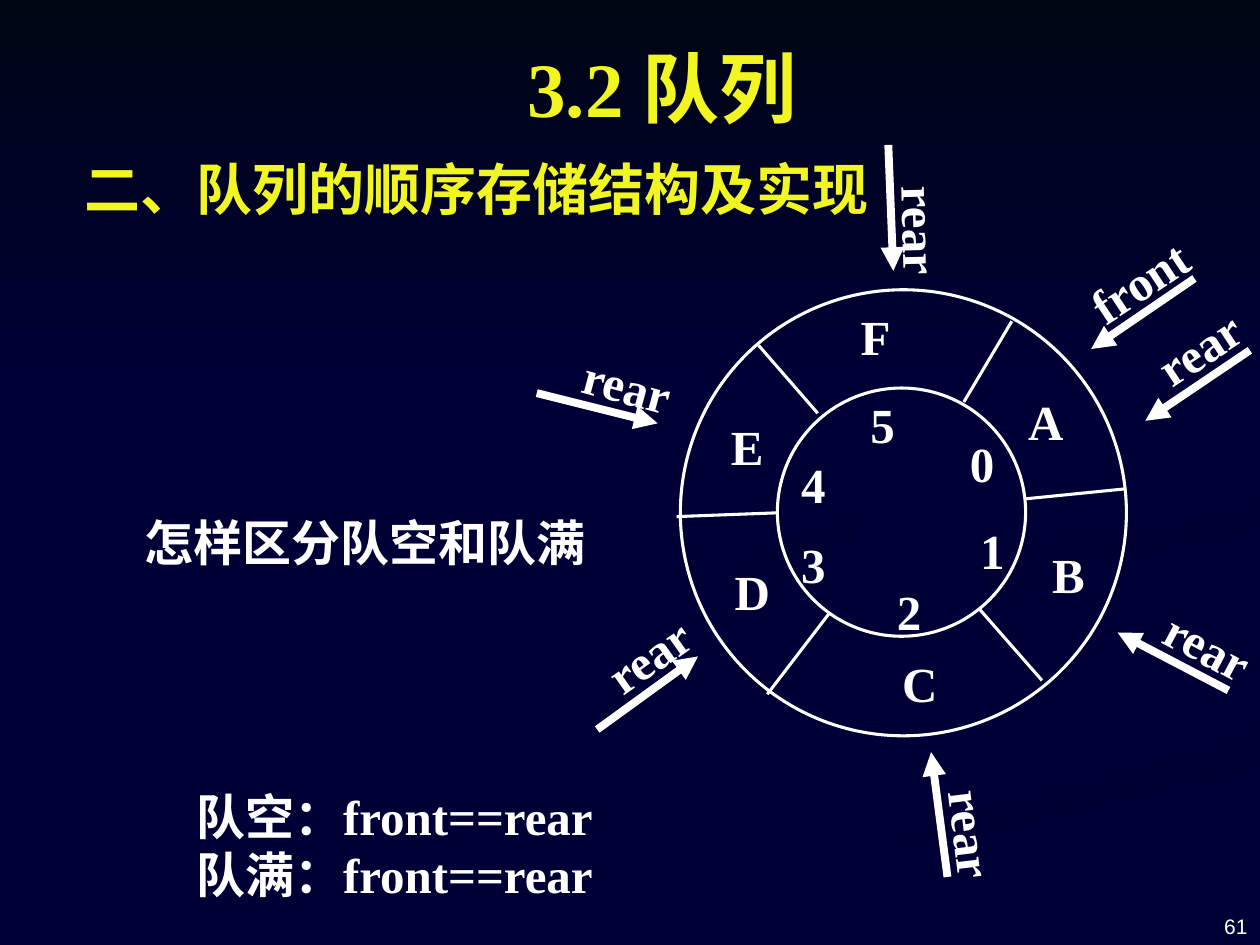
import pptx
import pptx.dml.color
import pptx.enum.shapes
import pptx.enum.text
import pptx.oxml.ns
import pptx.util
from lxml import etree

# The slide is a grid of 100 columns by 75 rows of square cells
CELL = pptx.util.Inches(0.1)
COLUMNS, ROWS = 100, 75
WHITE, YELLOW, NAVY = "FFFFFF", "F1F622", "000036"
SERIF, CJK, SANS = "Times New Roman", "Noto Sans CJK SC", "Arial"
LABEL_HEIGHT = 5.7

ALIGN = pptx.enum.text.PP_ALIGN
ANCHOR = pptx.enum.text.MSO_ANCHOR

# Background ribbons: start colour, end colour, angle, outline
RIBBONS = [
    ("000036", "000034", 0, [
        (78.1, 55.3), (73.1, 53.3), (64.2, 50.7), (59.4, 48.5), (57.4, 46.4),
        (57.5, 45.9), (57, 47.2), (58.6, 48.7), (63.1, 50.5), (71.4, 53),
        (77.6, 55.3), (78.6, 56.6), (77.4, 58.3), (71.4, 60.5), (61.6, 62.9),
        (49.9, 66.1), (37.6, 70.7), (30, 74.9), (36.1, 74.9), (46.6, 70),
        (56.4, 66.5), (67.6, 63.4), (76.9, 60.9), (79.5, 59.2), (80, 58.1),
        (79.2, 56.1)]),
    ("000036", "000034", 315, [
        (94.3, 57), (93, 55.3), (88.8, 53.5), (81.1, 51.5), (75.8, 49.8),
        (73, 47.9), (72.4, 46.4), (73, 48.4), (76.6, 51.2), (83.8, 53.6),
        (90, 55.7), (91.8, 58.1), (89.4, 60.5), (93.2, 58.9)]),
    ("000032", "000036", 270, [
        (51.9, 74.7), (50.3, 74.9), (57.1, 74.9), (61.4, 72.6), (69.5, 69.2),
        (78.5, 66.1), (90.3, 63), (99.8, 60.9), (99.8, 58.1), (95, 59.8),
        (86.7, 62), (76.4, 64.7), (66.2, 68.1), (56.9, 71.9)]),
    ("000033", "000036", 315, [
        (78.1, 46), (78.6, 47.4), (82.6, 49.6), (80.6, 48), (80.6, 46.8),
        (84.3, 44.8), (93.6, 42.9), (99.8, 42), (99.8, 40.2), (93.3, 41.5),
        (86.5, 42.4), (81, 43.7)]),
    ("000032", "000036", 315, [
        (68.3, 43), (78.6, 41.2), (85.5, 39.1), (88.9, 36.2), (89.3, 33.5),
        (87.3, 29.9), (82.1, 26.1), (76.2, 23.3), (84.6, 27.9), (88.2, 31.3),
        (88.8, 34.1), (86.1, 37), (79.1, 39.2), (67.6, 41.4), (59.7, 43.7),
        (57.7, 46.2), (59, 48.4), (62.2, 50), (59.4, 47.5), (60.1, 45.6),
        (63.5, 44)]),
    ("000514", "000036", 270, [(0, 0), (0, 30.8), (COLUMNS, 30.8), (COLUMNS, 0)]),
]

# Ring: circles as left, top, diameter; spokes as start and end
CIRCLES = [(54, 23, 35.4), (61.7, 30.8, 19.7)]
SPOKES = [
    (89.3, 38.8, 81.3, 39.6), (80.3, 25.5, 76.5, 31.9), (65.8, 48.7, 60.9, 55.1),
    (82.7, 54, 77.7, 48.3), (61.8, 40.7, 53.7, 41), (64.9, 32.8, 60.2, 27.4),
]
# Queue elements and their indexes: text, left, top, width
ELEMENTS = [
    ("A", 80.6, 30.6, 4.8), ("B", 82.5, 42.7, 4.6), ("C", 70.6, 51.4, 4.8),
    ("D", 57.3, 44.1, 4.8), ("E", 57, 32.6, 4.6), ("F", 67.3, 23.8, 4.4),
]
INDEXES = [
    ("0", 76, 33.9), ("1", 76.8, 40.8), ("2", 70.2, 45.7),
    ("3", 62.6, 41.9), ("4", 62.6, 35.6), ("5", 68.1, 30.8),
]
# Pointers: text, label left, top, width, turn, arrow start and tip
POINTERS = [
    ("front", 85.1, 19.5, 10.5, 326.5, (94.8, 22.1, 86.6, 27.7)),
    ("rear", 90.6, 24.8, 9.1, 326.5, (99.2, 27.8, 90.9, 33.4)),
    ("rear", 91.3, 48.4, 9.1, 28.2, (97.5, 54.8, 88.7, 50.2)),
    ("rear", 72.6, 63.3, 9.1, 83.2, (75.2, 69.6, 73.9, 59.7)),
    ("rear", 46.9, 49.2, 9.1, 324.7, (47.4, 57.9, 55.4, 52.1)),
    ("rear", 45.2, 27.7, 9.1, 15.1, (42.6, 31.2, 52.2, 33.6)),
    ("rear", 68.6, 15.4, 9.1, 88.6, (70.5, 11.5, 70.9, 21.5)),
]


def cells(*counts):
    return [pptx.util.Emu(round(count * CELL)) for count in counts]


def color(hex_value):
    return pptx.dml.color.RGBColor.from_string(hex_value)


def add_text(slide, lines, place, size=28, font=SERIF, ink=WHITE, bold=True,
             align=ALIGN.LEFT, anchor=ANCHOR.TOP, wrap=True, turn=0, spacing=None):
    box = slide.shapes.add_textbox(*cells(*place))
    box.rotation = turn
    frame = box.text_frame
    frame.word_wrap = wrap
    frame.vertical_anchor = anchor
    frame.text = "\n".join(lines)
    for paragraph in frame.paragraphs:
        paragraph.alignment = align
        if spacing:
            paragraph.line_spacing = spacing
        paragraph.font.size = pptx.util.Pt(size)
        paragraph.font.bold = bold
        paragraph.font.color.rgb = color(ink)
        paragraph.font.name = font
        # Chinese characters take their own typeface
        defaults = paragraph._p.pPr.find(pptx.oxml.ns.qn("a:defRPr"))
        etree.SubElement(defaults, pptx.oxml.ns.qn("a:ea"), typeface=CJK)


def add_ribbon(slide, start, end, angle, outline):
    builder = slide.shapes.build_freeform(*outline[0], scale=CELL)
    builder.add_line_segments(outline[1:], close=True)
    ribbon = builder.convert_to_shape()
    ribbon.shadow.inherit = False
    ribbon.line.fill.background()
    ribbon.fill.gradient()
    ribbon.fill.gradient_angle = angle
    for stop, tint, position in zip(ribbon.fill.gradient_stops, (start, end), (0, 1)):
        stop.color.rgb = color(tint)
        stop.position = position


def add_circle(slide, left, top, diameter):
    circle = slide.shapes.add_shape(
        pptx.enum.shapes.MSO_SHAPE.OVAL, *cells(left, top, diameter, diameter))
    circle.shadow.inherit = False
    circle.fill.background()
    circle.line.color.rgb = color(WHITE)
    circle.line.width = pptx.util.Pt(1.75)


def add_line(slide, ends, width=1.75, arrow=False):
    line = slide.shapes.add_connector(
        pptx.enum.shapes.MSO_CONNECTOR.STRAIGHT, *cells(*ends))
    line.line.color.rgb = color(WHITE)
    line.line.width = pptx.util.Pt(width)
    if arrow:
        etree.SubElement(line.line._get_or_add_ln(),
                         pptx.oxml.ns.qn("a:tailEnd"), type="triangle")
    etree.SubElement(line._element.spPr, pptx.oxml.ns.qn("a:effectLst"))


def add_ring(slide):
    for circle in CIRCLES:
        add_circle(slide, *circle)
    for spoke in SPOKES:
        add_line(slide, spoke)
    for element, left, top, width in ELEMENTS:
        add_text(slide, [element], (left, top, width, LABEL_HEIGHT),
                 align=ALIGN.CENTER, wrap=False)
    for index, left, top in INDEXES:
        add_text(slide, [index], (left, top, 3.7, LABEL_HEIGHT), align=ALIGN.RIGHT)


def add_pointers(slide):
    for pointer, left, top, width, turn, arrow in POINTERS:
        add_text(slide, [pointer], (left, top, width, LABEL_HEIGHT),
                 align=ALIGN.RIGHT, wrap=False, turn=turn)
        add_line(slide, arrow, width=4.5, arrow=True)


def main():
    deck = pptx.Presentation()
    deck.slide_width, deck.slide_height = cells(COLUMNS, ROWS)
    slide = deck.slides.add_slide(deck.slide_layouts[6])

    # Background
    slide.background.fill.solid()
    slide.background.fill.fore_color.rgb = color(NAVY)
    for ribbon in RIBBONS:
        add_ribbon(slide, *ribbon)

    # Headings and page number
    add_text(slide, ["61"], (76.7, 69.8, 23.3, 5.2), size=12, font=SANS,
             bold=False, align=ALIGN.RIGHT, anchor=ANCHOR.BOTTOM)
    add_text(slide, ["二、队列的顺序存储结构及实现"], (5.7, 12.4, 67.5, 5.9),
             size=32, font=CJK, ink=YELLOW, spacing=0.9)
    add_text(slide, ["3.2 队列"], (11.6, 4.4, 81.9, 5), size=44, ink=YELLOW,
             align=ALIGN.CENTER, anchor=ANCHOR.MIDDLE)

    # Circular queue
    add_ring(slide)
    add_pointers(slide)

    # Question and the two conditions
    add_text(slide, ["队空：front==rear", "队满：front==rear"], (14.6, 61.9, 36.4, 10.3))
    add_text(slide, ["怎样区分队空和队满"], (10.5, 40.2, 37, LABEL_HEIGHT), wrap=False)

    deck.save("out.pptx")


if __name__ == "__main__":
    main()
